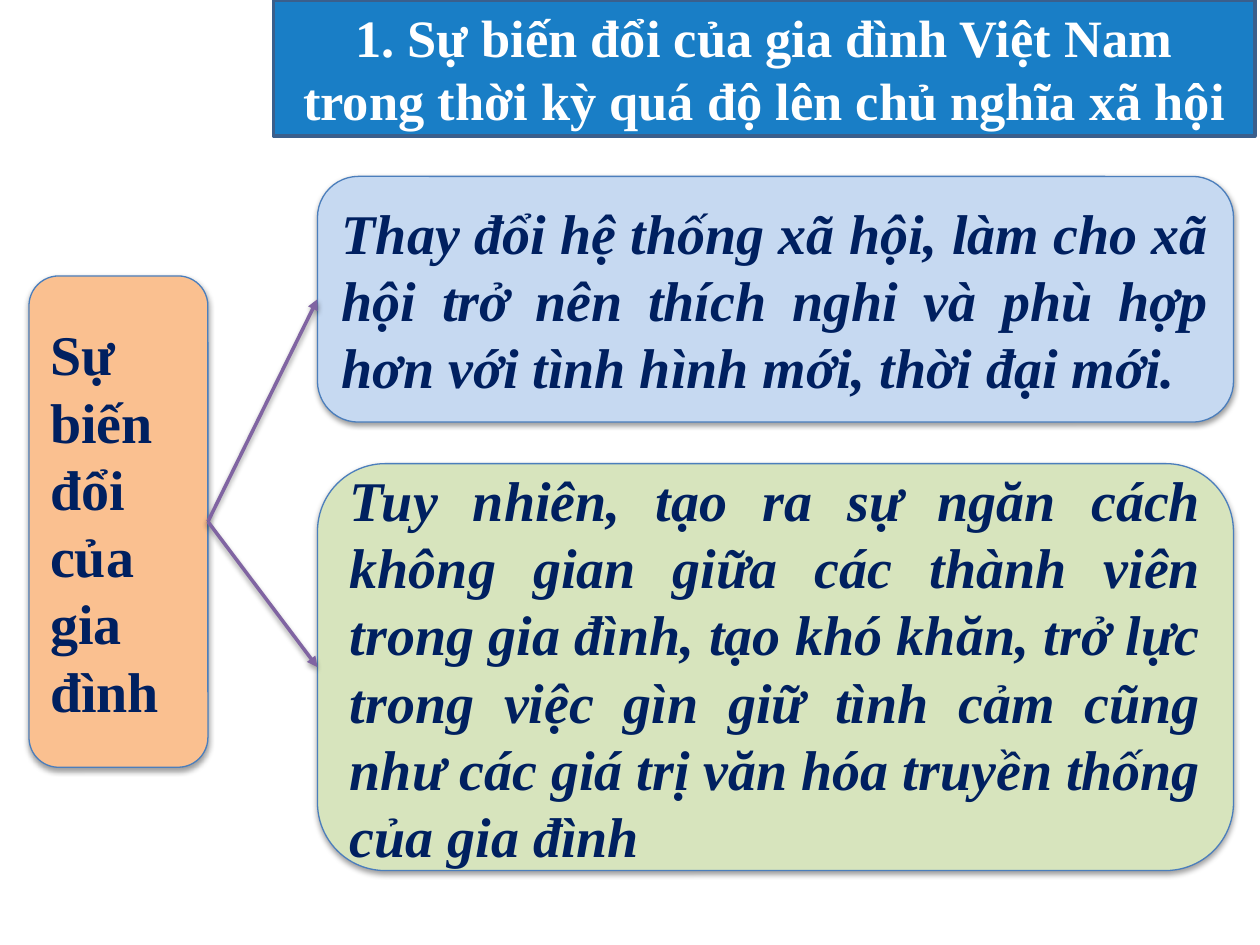
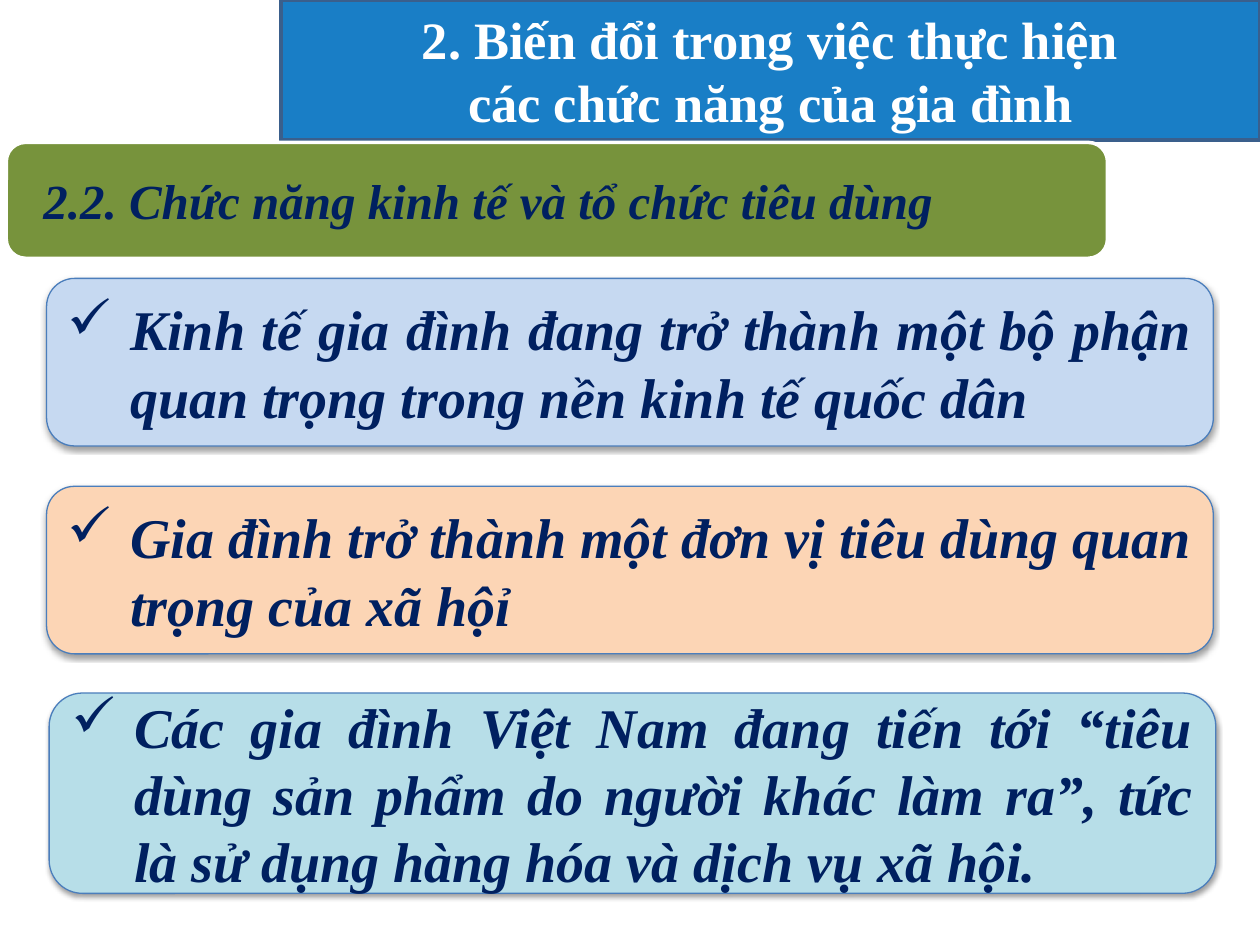
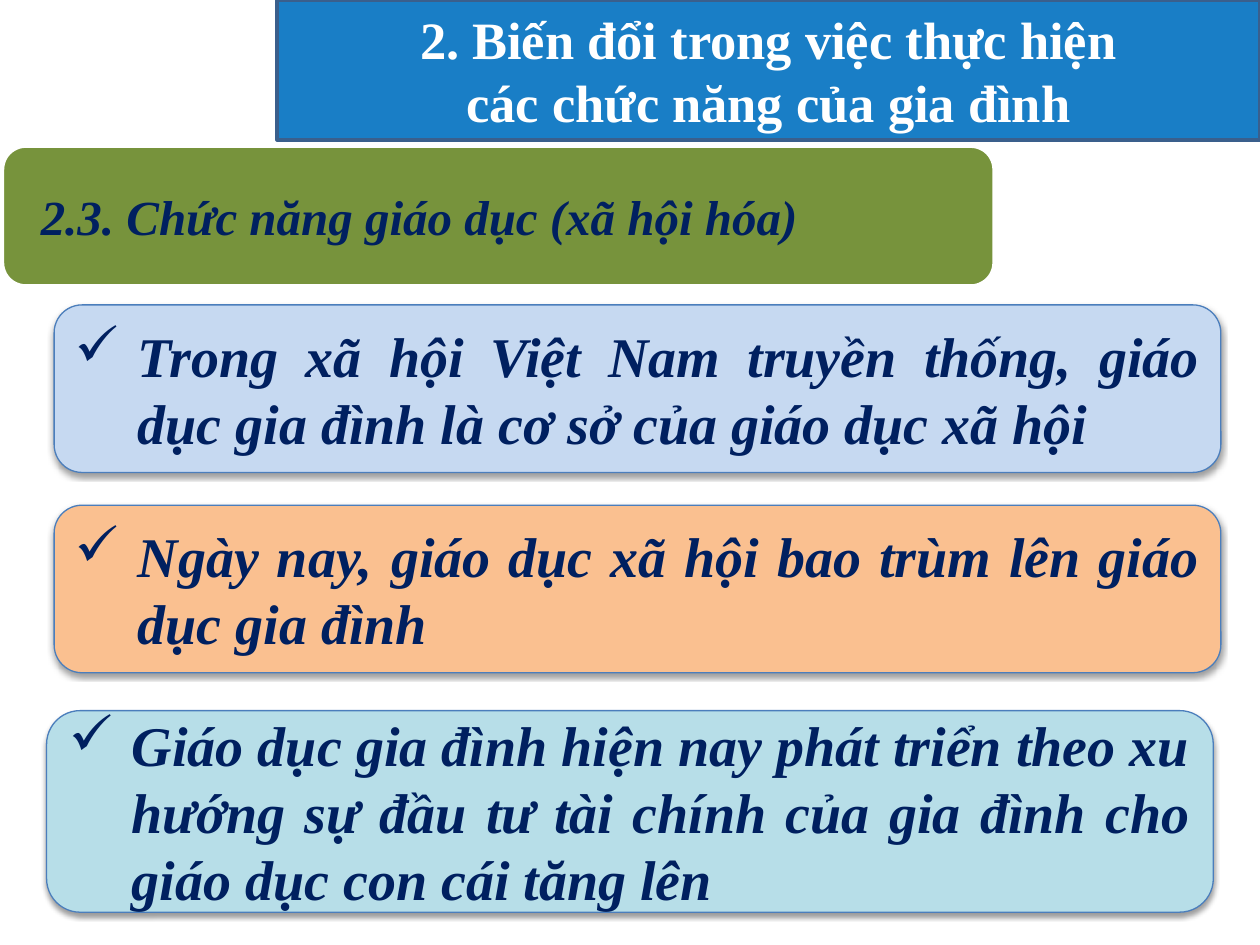
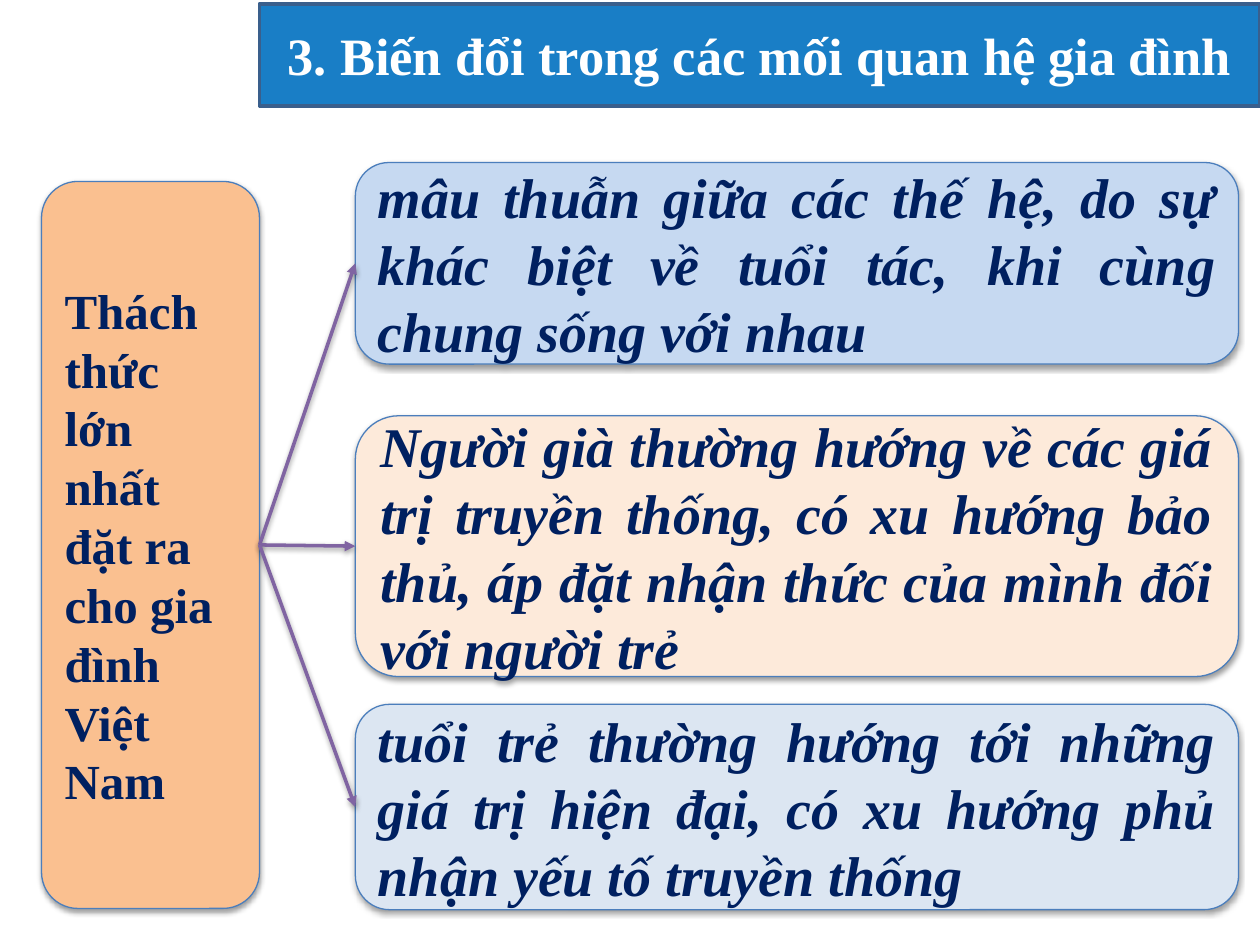
from pptx import Presentation
from pptx.util import Inches, Pt
from pptx.dml.color import RGBColor
from pptx.enum.shapes import MSO_SHAPE as Shape, MSO_CONNECTOR as Link
from pptx.enum.text import PP_ALIGN as Align, MSO_ANCHOR as Anchor, MSO_AUTO_SIZE as Fit
from pptx.oxml import parse_xml
from pptx.oxml.ns import nsdecls, qn
from lxml.etree import SubElement


class Theme:
    font = "Times New Roman"
    navy, white = "002060", "FFFFFF"
    blue, rim = "0070C0", "3A5F8C"
    green, edge, arrow = "77933C", "4B7EBC", "8064A2"
    sky, orange, peach = "C6D9F1", "FAC090", "FCD5B5"
    lime, aqua, cream, pale = "D7E4BD", "B7DEE8", "FDEADA", "DCE6F2"
    head, sub, body = 30, 28, 32
    thin, thick = 0.75, 2


PART_TWO = ["2. Biến đổi trong việc thực hiện", "các chức năng của gia đình"]

SLIDES = [
    {
        "title": ["1. Sự biến đổi của gia đình Việt Nam",
                  "trong thời kỳ quá độ lên chủ nghĩa xã hội"],
        "head": (2.17, 0, 7.79, 1.08),
        "root": ("Sự biến đổi của gia đình", (0.23, 2.19, 1.42, 3.9), Theme.body),
        "cards": [
            ("Thay đổi hệ thống xã hội, làm cho xã hội trở nên thích nghi và phù hợp "
             "hơn với tình hình mới, thời đại mới.",
             (2.52, 1.4, 7.27, 1.95), Theme.sky),
            ("Tuy nhiên, tạo ra sự ngăn cách không gian giữa các thành viên trong gia "
             "đình, tạo khó khăn, trở lực trong việc gìn giữ tình cảm cũng như các giá "
             "trị văn hóa truyền thống của gia đình",
             (2.52, 3.68, 7.27, 3.23), Theme.lime),
        ],
    },
    {
        "title": PART_TWO,
        "head": (2.23, 0, 7.77, 1.11),
        "band": ("2.2. Chức năng kinh tế và tổ chức tiêu dùng", (0.05, 1.13, 8.74, 0.92)),
        "cards": [
            ("Kinh tế gia đình đang trở thành một bộ phận quan trọng trong nền kinh tế "
             "quốc dân", (0.37, 2.21, 9.26, 1.33), Theme.sky),
            ("Gia đình trở thành một đơn vị tiêu dùng quan trọng của xã hộỉ",
             (0.37, 3.86, 9.26, 1.33), Theme.peach),
            ("Các gia đình Việt Nam đang tiến tới “tiêu dùng sản phẩm do người khác làm "
             "ra”, tức là sử dụng hàng hóa và dịch vụ xã hội.",
             (0.39, 5.5, 9.26, 1.59), Theme.aqua),
        ],
    },
    {
        "title": PART_TWO,
        "head": (2.2, 0, 7.8, 1.11),
        "band": ("2.3. Chức năng giáo dục (xã hội hóa)", (0.02, 1.16, 7.87, 1.11)),
        "cards": [
            ("Trong xã hội Việt Nam truyền thống, giáo dục gia đình là cơ sở của giáo "
             "dục xã hội", (0.43, 2.42, 9.26, 1.33), Theme.sky),
            ("Ngày nay, giáo dục xã hội bao trùm lên giáo dục gia đình",
             (0.43, 4.01, 9.26, 1.33), Theme.orange),
            ("Giáo dục gia đình hiện nay phát triển theo xu hướng sự đầu tư tài chính "
             "của gia đình cho giáo dục con cái tăng lên",
             (0.37, 5.64, 9.26, 1.6), Theme.aqua),
        ],
    },
    {
        "title": ["3. Biến đổi trong các mối quan hệ gia đình"],
        "head": (2.06, 0.03, 7.94, 0.81),
        "root": ("Thách thức lớn nhất đặt ra cho gia đình Việt Nam",
                 (0.33, 1.44, 1.73, 5.77), Theme.sub),
        "cards": [
            ("mâu thuẫn giữa các thế hệ, do sự khác biệt về tuổi tác, khi cùng chung "
             "sống với nhau", (2.82, 1.29, 7.01, 1.6), Theme.sky),
            ("Người già thường hướng về các giá trị truyền thống, có xu hướng bảo thủ, "
             "áp đặt nhận thức của mình đối với người trẻ",
             (2.82, 3.3, 7.01, 2.07), Theme.cream),
            ("tuổi trẻ thường hướng tới những giá trị hiện đại, có xu hướng phủ nhận "
             "yếu tố truyền thống", (2.82, 5.59, 7.01, 1.63), Theme.pale),
        ],
    },
]


def paint(shape, fill, line, width):
    shape.fill.solid()
    shape.fill.fore_color.rgb = RGBColor.from_string(fill)
    shape.line.color.rgb = RGBColor.from_string(line)
    shape.line.width = Pt(width)


def cast(shape):
    shape._element.spPr.append(parse_xml(
        f'<a:effectLst {nsdecls("a")}><a:outerShdw blurRad="40000" dist="20000" '
        'dir="5400000" rotWithShape="0"><a:srgbClr val="000000"><a:alpha val="38000"/>'
        '</a:srgbClr></a:outerShdw></a:effectLst>'))


def write(shape, lines, size, color, align, italic=False, tick=False):
    frame = shape.text_frame
    frame.word_wrap = True
    frame.auto_size = Fit.NONE
    frame.vertical_anchor = Anchor.MIDDLE
    for n, line in enumerate(lines):
        para = frame.add_paragraph() if n else frame.paragraphs[0]
        para.alignment = align
        if tick:
            props = para._p.get_or_add_pPr()
            props.set("marL", str(Inches(0.5)))
            props.set("indent", str(-Inches(0.5)))
            SubElement(props, qn("a:buChar"), char="✓")
        run = para.add_run()
        run.text = line
        font = run.font
        font.name, font.size = Theme.font, Pt(size)
        font.bold, font.italic = True, italic
        font.color.rgb = RGBColor.from_string(color)


def add_head(slide, lines, area):
    title = slide.shapes.title
    title.left, title.top, title.width, title.height = map(Inches, area)
    title._element.spPr.append(parse_xml(
        f'<a:prstGeom {nsdecls("a")} prst="roundRect"><a:avLst/></a:prstGeom>'))
    paint(title, Theme.blue, Theme.rim, Theme.thick)
    tint = title._element.spPr.find(qn("a:solidFill"))[0]
    SubElement(tint, qn("a:alpha"), val="90000")
    write(title, lines, Theme.head, Theme.white, Align.CENTER)


def add_box(slide, area, fill, line, width):
    box = slide.shapes.add_shape(Shape.ROUNDED_RECTANGLE, *map(Inches, area))
    paint(box, fill, line, width)
    return box


def add_band(slide, text, area):
    band = add_box(slide, area, Theme.green, Theme.white, Theme.thick)
    band.shadow.inherit = False
    band.text_frame.margin_left = Inches(0.25)
    write(band, [text], Theme.sub, Theme.navy, Align.LEFT, italic=True)


def add_card(slide, text, area, fill, size=Theme.body, align=Align.JUSTIFY, **style):
    card = add_box(slide, area, fill, Theme.edge, Theme.thin)
    cast(card)
    write(card, [text], size, Theme.navy, align, **style)
    return card


def add_arrow(slide, root, card):
    arrow = slide.shapes.add_connector(Link.STRAIGHT, 0, 0, 0, 0)
    arrow.begin_connect(root, 3)
    arrow.end_connect(card, 1)
    arrow.line.color.rgb = RGBColor.from_string(Theme.arrow)
    arrow.line.width = Pt(Theme.thick)
    SubElement(arrow.line._get_or_add_ln(), qn("a:tailEnd"), type="triangle")
    cast(arrow)


def main():
    deck = Presentation()
    deck.slide_width, deck.slide_height = Inches(10), Inches(7.5)
    for page in SLIDES:
        slide = deck.slides.add_slide(deck.slide_layouts[5])
        add_head(slide, page["title"], page["head"])
        if "band" in page:
            add_band(slide, *page["band"])
        cards = [add_card(slide, *card, italic=True, tick="band" in page)
                 for card in page["cards"]]
        if "root" in page:
            text, area, size = page["root"]
            root = add_card(slide, text, area, Theme.orange, size, Align.LEFT)
            for card in cards:
                add_arrow(slide, root, card)
    deck.save("out.pptx")


if __name__ == "__main__":
    main()
